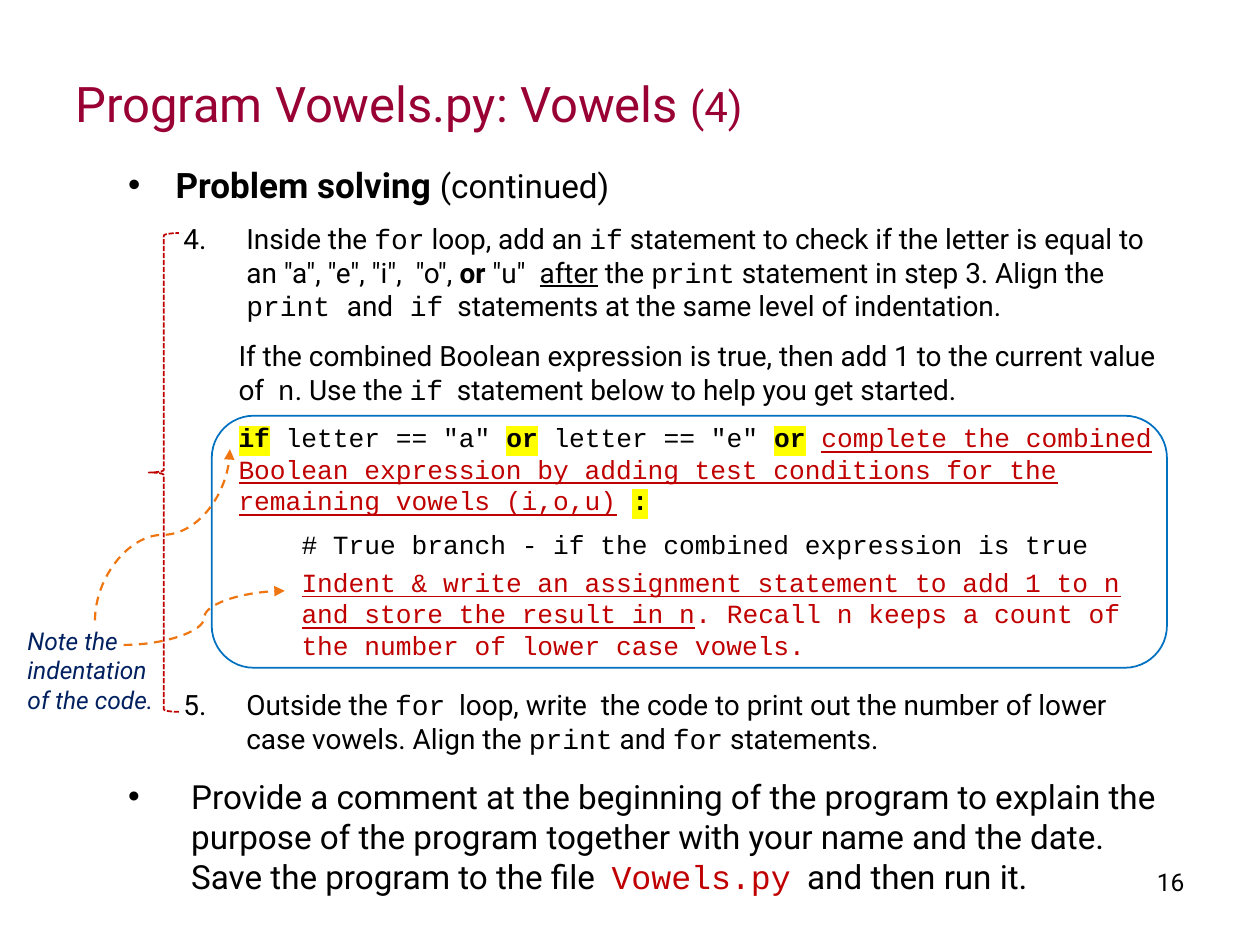
"""Build the slide on the vowel-counting program."""
from lxml import etree
from pptx import Presentation
from pptx import util as u
from pptx.dml.color import RGBColor
from pptx.enum import dml, shapes, text
from pptx.oxml import ns

Pt = u.Pt
BLACK = RGBColor(0, 0, 0)
MAROON = RGBColor(0x99, 0x00, 0x33)
RED = RGBColor(0xC0, 0x00, 0x00)
NAVY = RGBColor(0x00, 0x20, 0x60)
BLUE = RGBColor(0x00, 0x70, 0xC0)
ORANGE = RGBColor(0xEF, 0x75, 0x11)
YELLOW = RGBColor(0xFF, 0xFF, 0x00)
SANS, MONO = "Roboto", "Courier New"

STYLES = {
    "plain": {},
    "bold": {"bold": True},
    "under": {"underline": True},
    "code": {"name": MONO},
    "small": {"size": Pt(19)},
    "suffix": {"size": Pt(24)},
    "keyword": {"name": MONO, "bold": True, "mark": YELLOW},
    "task": {"name": MONO, "color": RED, "underline": True},
    "red code": {"name": MONO, "color": RED},
}

TITLE = [{"size": 28, "color": MAROON, "runs": [
    ("Program Vowels.py: Vowels ", "plain"), ("(4)", "suffix")]}]
NOTE = [{"size": 14, "color": NAVY, "italic": True, "runs": [
    ("Note the indentation of the code.", "plain")]}]
NUMBER = [{"size": 14, "align": text.PP_ALIGN.RIGHT, "runs": [("16", "plain")]}]
BODY = [
    {"size": 20, "left": 27, "hang": 27, "before": 4, "after": 6, "bullet": "•", "runs": [
        ("Problem solving ", "bold"), ("(continued)", "small")]},
    {"size": 16, "left": 67.5, "hang": 36, "before": 3.2, "after": 6, "start": 4, "runs": [
        ("Inside the ", "plain"), ("for", "code"), (" loop, add an ", "plain"), ("if", "code"),
        (' statement to check if the letter is equal to an "a", "e", "i",  "o", ', "plain"),
        ("or", "bold"), (' "u"  ', "plain"), ("after", "under"), (" the ", "plain"),
        ("print", "code"), (" statement in step 3. Align the ", "plain"),
        ("print ", "code"), ("and", "plain"), (" if", "code"),
        ("  statements at the same level of indentation.", "plain")]},
    {"size": 16, "left": 63, "before": 3.2, "after": 6, "runs": [
        ("If the combined Boolean expression is true, then add 1 to the current value of  ",
         "plain"),
        ("n", "code"), (". Use the ", "plain"), ("if", "code"),
        ("  statement below to help you get started.", "plain")]},
    {"size": 15, "left": 63, "before": 3, "after": 4, "runs": [
        ("if", "keyword"), (' letter == "a" ', "code"), ("or", "keyword"),
        (' letter == "e" ', "code"), ("or", "keyword"), (" ", "code"),
        ("complete the combined Boolean expression by adding test conditions "
         "for the remaining vowels (i,o,u)", "task"),
        (" ", "code"), (":", "keyword")]},
    {"size": 15, "left": 99, "before": 3, "after": 3.6, "runs": [
        ("# True branch - if the combined expression is true", "code")]},
    {"size": 15, "left": 99, "after": 3.6, "runs": [
        ("Indent & write an assignment statement to add 1 to n and store the result in n", "task"),
        (". Recall n keeps a count of the number of lower case vowels.", "red code")]},
    {"size": 16, "left": 67.5, "hang": 36, "before": 12, "after": 6, "start": 5, "runs": [
        ("Outside the ", "plain"), ("for", "code"),
        ("  loop, write  the code to print out the number of lower case vowels. Align the ",
         "plain"),
        ("print", "code"), (" and ", "plain"), ("for", "code"), (" statements.", "plain")]},
    {"size": 19, "left": 36, "hang": 36, "before": 6, "after": 6, "bullet": "•", "runs": [
        ("Provide a comment at the beginning of the program to explain the purpose of the "
         "program together with your name and the date. Save the program to the file  ", "plain"),
        ("Vowels.py", "red code"), ("  and then run it.", "plain")]},
]

TEXTS = [
    ((36, 21.6, 504, 74.2), TITLE, text.MSO_ANCHOR.MIDDLE),
    ((66.2, 90, 602, 419.8), BODY, text.MSO_ANCHOR.TOP),
    ((516.2, 491.8, 167.8, 37.4), NUMBER, text.MSO_ANCHOR.TOP),
    ((8.6, 354.2, 92.2, 58.3), NOTE, text.MSO_ANCHOR.TOP),
]
OUTLINES = [
    (shapes.MSO_SHAPE.FLOWCHART_ALTERNATE_PROCESS, (121, 237.6, 545.8, 144), BLUE, None, []),
    (shapes.MSO_SHAPE.LEFT_BRACE, (85, 133.2, 17.3, 273.6), RED,
     dml.MSO_LINE.SQUARE_DOT, [0.084, 0.5]),
]
ARROWS = [((141.8, 344.2, 43.9, 267.1), 90), ((70.6, 368.6, 162.7, 337.7), 0)]


def add_child(parent, tag, **attributes):
    return etree.SubElement(parent, ns.qn(tag), attributes)


def add_span(para, content, style, color):
    span = para.add_run()
    span.text = content
    font = span.font
    font.name = style.get("name", SANS)
    font.color.rgb = style.get("color", color)
    for key in ("size", "bold", "underline"):
        if key in style:
            setattr(font, key, style[key])
    if "mark" in style:
        mark = etree.Element(ns.qn("a:highlight"))
        add_child(mark, "a:srgbClr", val=str(style["mark"]))
        span._r.rPr.find(ns.qn("a:solidFill")).addnext(mark)


def fill_para(para, item):
    para.alignment = item.get("align")
    para.space_before = Pt(item.get("before", 0))
    para.space_after = Pt(item.get("after", 0))
    props = para._p.get_or_add_pPr()
    props.set("marL", str(Pt(item.get("left", 0))))
    props.set("indent", str(-Pt(item.get("hang", 0))))
    if "bullet" in item:
        add_child(props, "a:buFont", typeface="Arial")
        add_child(props, "a:buChar", char=item["bullet"])
    elif "start" in item:
        add_child(props, "a:buFont", typeface=SANS)
        add_child(props, "a:buAutoNum", type="arabicPeriod", startAt=str(item["start"]))
    para.font.size = Pt(item["size"])
    para.font.italic = item.get("italic")
    for content, style in item["runs"]:
        add_span(para, content, STYLES[style], item.get("color", BLACK))


def add_text(page, place, items, anchor):
    frame = page.shapes.add_textbox(*map(Pt, place)).text_frame
    frame.word_wrap = True
    frame.vertical_anchor = anchor
    for index, item in enumerate(items):
        fill_para(frame.add_paragraph() if index else frame.paragraphs[0], item)


def add_outline(page, kind, place, color, dash, adjustments):
    shape = page.shapes.add_shape(kind, *map(Pt, place))
    shape.shadow.inherit = False
    shape.fill.background()
    shape.line.color.rgb = color
    shape.line.width = Pt(1)
    shape.line.dash_style = dash
    for index, value in enumerate(adjustments):
        shape.adjustments[index] = value


def add_arrow(page, ends, turn):
    arrow = page.shapes.add_connector(shapes.MSO_CONNECTOR.CURVE, *map(Pt, ends))
    arrow.line.color.rgb = ORANGE
    arrow.line.width = Pt(1.25)
    arrow.line.dash_style = dml.MSO_LINE.DASH
    add_child(arrow.line._get_or_add_ln(), "a:tailEnd", type="triangle")
    props = arrow._element.spPr
    add_child(props, "a:effectLst")
    if turn:
        props.find(ns.qn("a:xfrm")).set("rot", str(turn * 60000))


def main():
    deck = Presentation()
    deck.slide_width, deck.slide_height = Pt(720), Pt(540)
    page = deck.slides.add_slide(deck.slide_layouts[6])
    for entry in TEXTS:
        add_text(page, *entry)
    for entry in OUTLINES:
        add_outline(page, *entry)
    for entry in ARROWS:
        add_arrow(page, *entry)
    deck.save("out.pptx")


if __name__ == "__main__":
    main()
